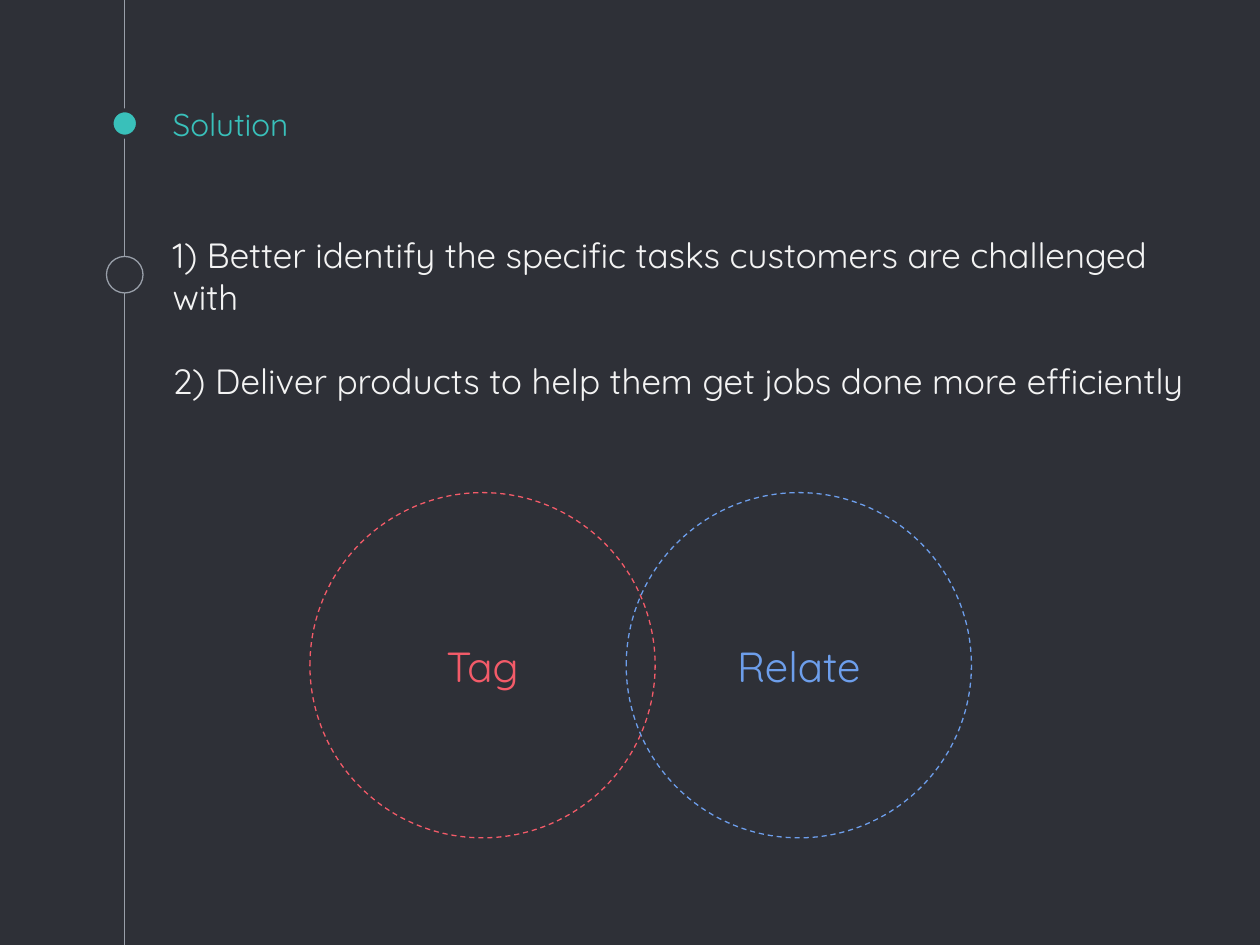
from lxml.etree import SubElement
from pptx import Presentation
from pptx.dml.color import RGBColor
from pptx.enum.dml import MSO_LINE
from pptx.enum.shapes import MSO_CONNECTOR, MSO_SHAPE
from pptx.enum.text import MSO_ANCHOR, MSO_AUTO_SIZE, PP_ALIGN
from pptx.oxml.ns import qn
from pptx.util import Inches, Pt

COLORS = {
    "background": "2E3037",
    "timeline": "999FA9",
    "accent": "39C0BA",
    "body": "F3F3F3",
    "tag": "F35B69",
    "relate": "6D9EEB",
}
TIMELINE_X = 0.99


def rgb(name):
    return RGBColor.from_string(COLORS[name])


class SlideBuilder:
    font_name = "Quicksand"
    inset = Inches(0.1)

    def __init__(self, slide):
        self.slide = slide
        slide.background.fill.solid()
        slide.background.fill.fore_color.rgb = rgb("background")

    def frame(self, shape, anchor):
        frame = shape.text_frame
        frame.word_wrap = True
        frame.auto_size = MSO_AUTO_SIZE.NONE
        frame.vertical_anchor = anchor
        frame.margin_left = frame.margin_right = self.inset
        frame.margin_top = frame.margin_bottom = self.inset
        return frame

    def style(self, paragraph, size, color, align=PP_ALIGN.LEFT):
        paragraph.alignment = align
        paragraph.font.name = self.font_name
        paragraph.font.size = Pt(size)
        paragraph.font.color.rgb = rgb(color)

    def place(self, shape, left, top, width, height):
        shape.left, shape.top = Inches(left), Inches(top)
        shape.width, shape.height = Inches(width), Inches(height)

    def title(self, text, box):
        heading = self.slide.shapes.title
        self.place(heading, *box)
        frame = self.frame(heading, MSO_ANCHOR.BOTTOM)
        frame.text = text
        self.style(frame.paragraphs[0], 18, "accent")

    def body(self, points, box, gap):
        content = self.slide.placeholders[1]
        self.place(content, *box)
        frame = self.frame(content, MSO_ANCHOR.TOP)
        frame.text = "\n".join(points)
        for index, point in enumerate(frame.paragraphs):
            point.space_before = Pt(gap if index else 0)
            properties = point._p.get_or_add_pPr()
            properties.set("marL", "0")
            properties.set("indent", "0")
            SubElement(properties, qn("a:buNone"))
            self.style(point, 20, "body")

    def line(self, x, top, bottom, color):
        line = self.slide.shapes.add_connector(
            MSO_CONNECTOR.STRAIGHT, Inches(x), Inches(top), Inches(x), Inches(bottom)
        )
        line.line.color.rgb = rgb(color)
        line.line.width = Pt(0.75)
        SubElement(line._element.spPr, qn("a:effectLst"))

    def circle(self, center_x, center_y, diameter, outline, fill=None, weight=0.75):
        circle = self.slide.shapes.add_shape(
            MSO_SHAPE.OVAL,
            Inches(center_x - diameter / 2), Inches(center_y - diameter / 2),
            Inches(diameter), Inches(diameter),
        )
        circle.shadow.inherit = False
        if fill:
            circle.fill.solid()
            circle.fill.fore_color.rgb = rgb(fill)
        else:
            circle.fill.background()
        circle.line.color.rgb = rgb(outline)
        circle.line.width = Pt(weight)
        return circle

    def venn_circle(self, label, center_x, center_y, diameter, color):
        circle = self.circle(center_x, center_y, diameter, color)
        circle.line.dash_style = MSO_LINE.DASH
        frame = self.frame(circle, MSO_ANCHOR.MIDDLE)
        frame.text = label
        self.style(frame.paragraphs[0], 24, color, PP_ALIGN.CENTER)


def main():
    deck = Presentation()
    deck.slide_width, deck.slide_height = Inches(10), Inches(7.5)
    builder = SlideBuilder(deck.slides.add_slide(deck.slide_layouts[1]))

    builder.line(TIMELINE_X, 0, 7.5, "timeline")
    builder.circle(TIMELINE_X, 0.98, 0.21, "background", "accent", 2.25)
    builder.circle(TIMELINE_X, 2.18, 0.29, "timeline", "background")

    builder.title("Solution", (1.27, 0.73, 7.5, 0.5))
    builder.body(
        [
            "1) Better identify the specific tasks customers are challenged with",
            "2) Deliver products to help them get jobs done more efficiently",
        ],
        (1.27, 1.75, 8.43, 5.43),
        gap=24,
    )

    for index, label in enumerate(("Tag", "Relate")):
        builder.venn_circle(label, 3.83 + index * 2.51, 5.28, 2.74, label.lower())

    deck.save("out.pptx")


if __name__ == "__main__":
    main()
